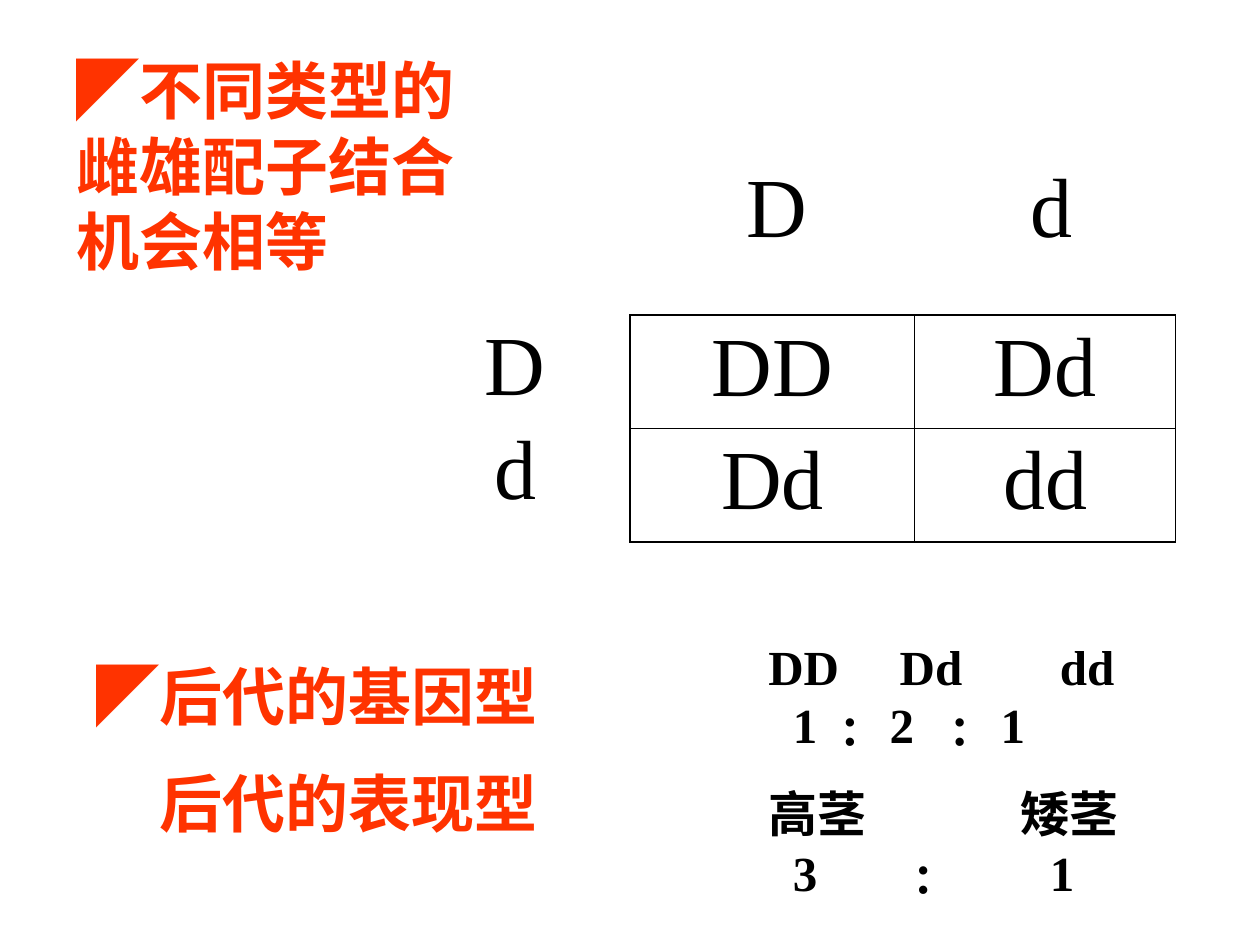
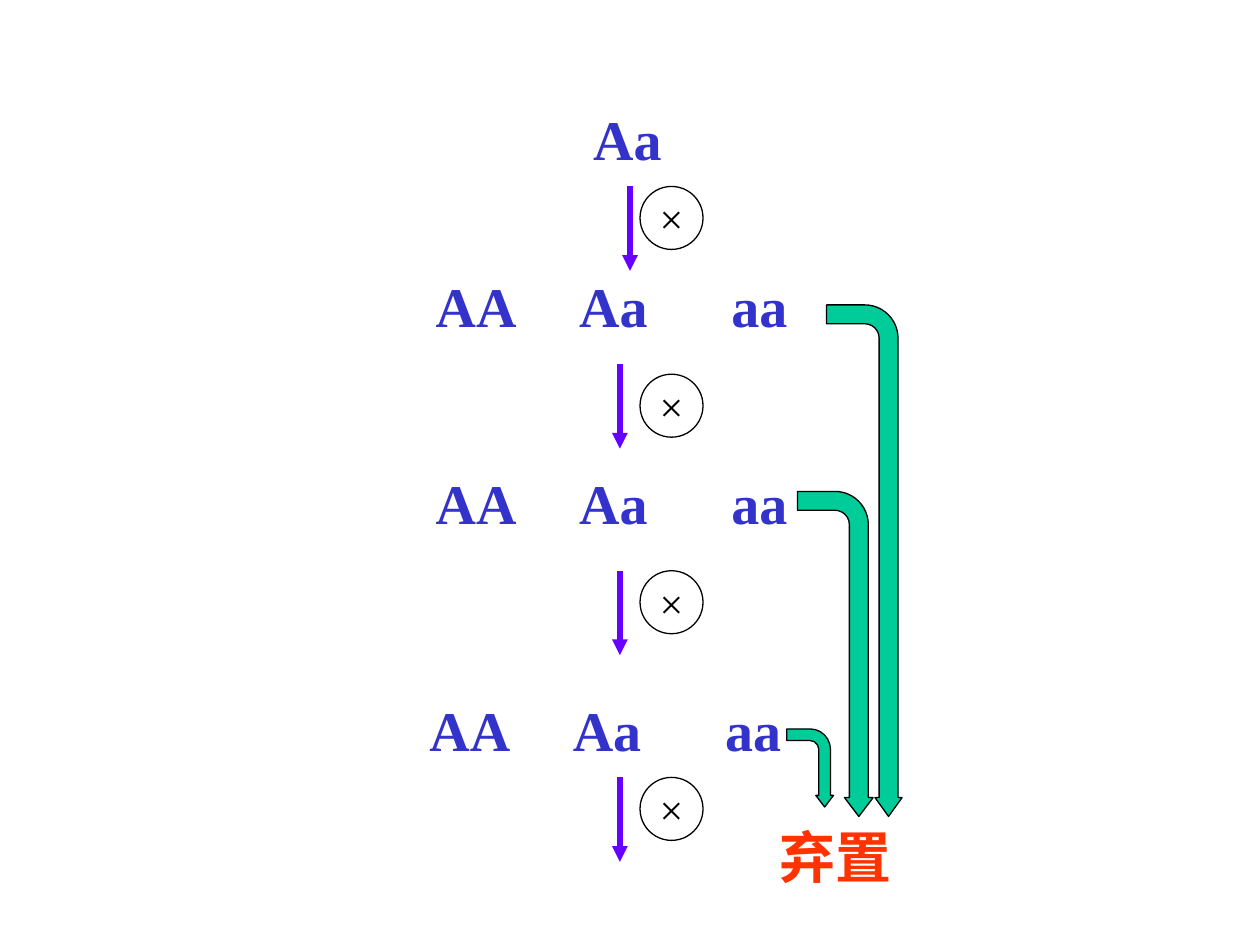
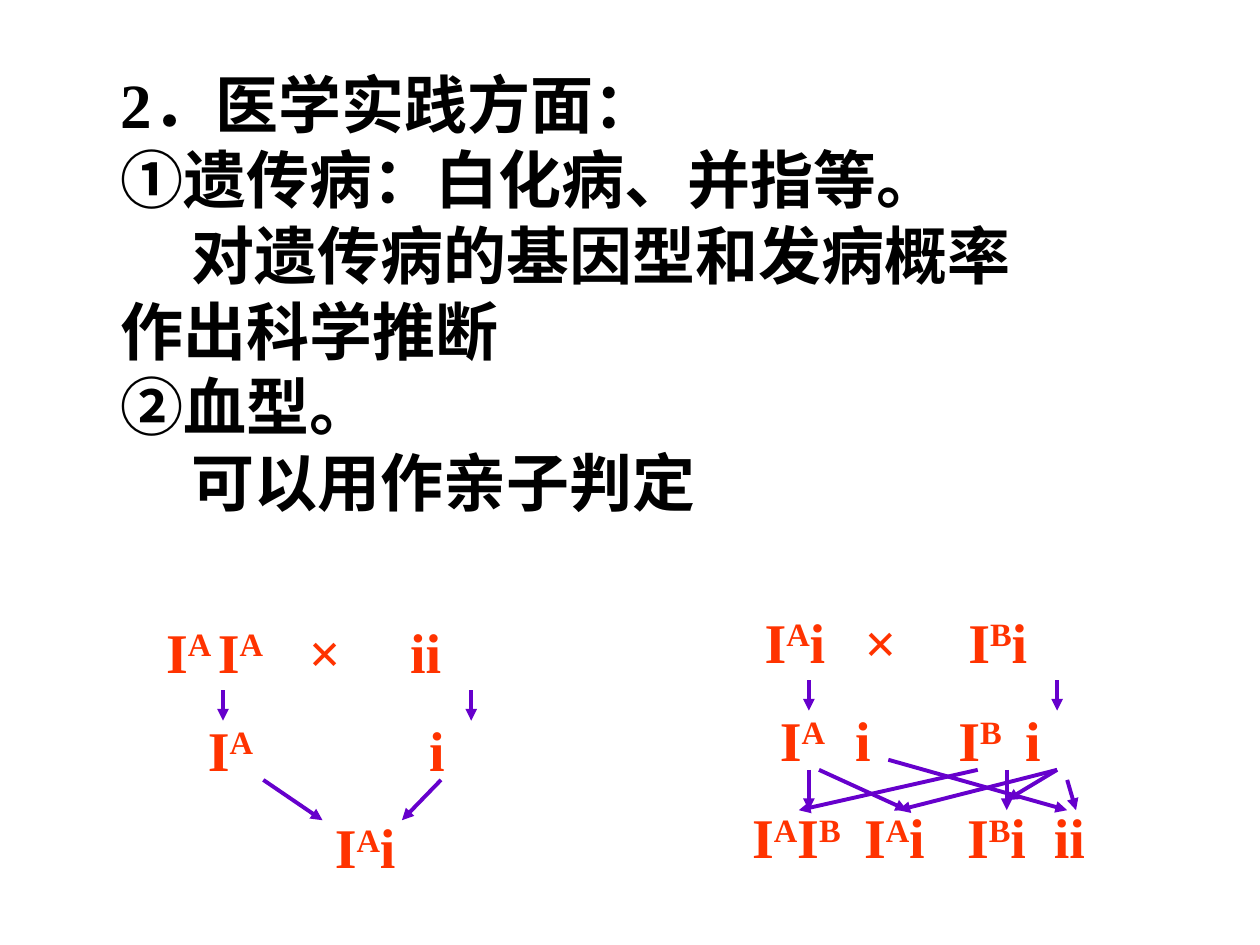
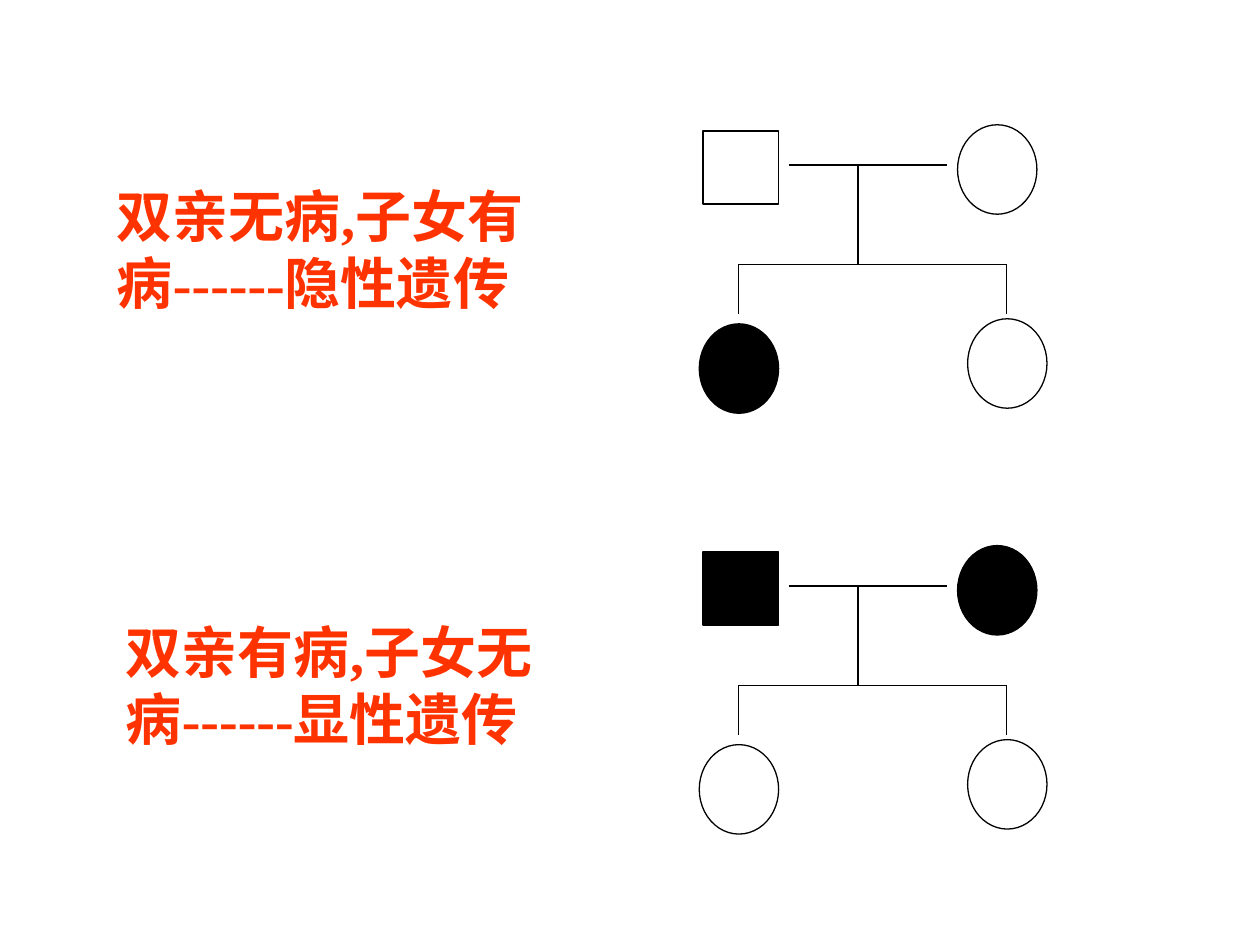
from lxml import etree
from pptx import Presentation
from pptx.dml.color import RGBColor
from pptx.enum.shapes import MSO_CONNECTOR, MSO_SHAPE
from pptx.enum.text import MSO_ANCHOR, MSO_AUTO_SIZE, PP_ALIGN
from pptx.oxml.ns import qn
from pptx.util import Inches, Pt

RECTANGLE = MSO_SHAPE.RECTANGLE
OVAL = MSO_SHAPE.OVAL
BENT_ARROW = MSO_SHAPE.BENT_ARROW
STRAIGHT = MSO_CONNECTOR.STRAIGHT
CENTER = PP_ALIGN.CENTER
MIDDLE = MSO_ANCHOR.MIDDLE
GROW = MSO_AUTO_SIZE.SHAPE_TO_FIT_TEXT

LATIN_FONT = "Times New Roman"
ASIAN_FONT = "Noto Sans CJK JP"
BLACK, WHITE, RED = "000000", "FFFFFF", "FF3300"
BLUE, VIOLET, PURPLE, GREEN = "3333CC", "6600FF", "6600CC", "00CC99"


def color(value):
    return RGBColor.from_string(value)


def add_element(parent, tag, **attributes):
    return etree.SubElement(parent, qn(tag), **attributes)


class Deck:
    def __init__(self):
        self.presentation = Presentation()
        self.presentation.slide_width = Inches(10)
        self.presentation.slide_height = Inches(7.5)
        self.slide = None

    def new_slide(self):
        self.slide = self.presentation.slides.add_slide(self.presentation.slide_layouts[6])

    def style(self, paragraph, size, ink, bold=False, font_name=LATIN_FONT):
        font = paragraph.font
        font.name, font.size, font.bold = font_name, Pt(size), bold
        font.color.rgb = color(ink)
        add_element(font._element, "a:ea", typeface=ASIAN_FONT)

    def text(self, left, top, width, height, lines, size, ink, bold=True,
             gap=0, indents=(), wrap=True, font_name=LATIN_FONT):
        """Lines are strings, or lists of (centre, text); centre None is flush left.
        Text between ^ marks is superscript."""
        box = self.slide.shapes.add_textbox(
            Inches(left), Inches(top), Inches(width), Inches(height))
        frame = box.text_frame
        frame.word_wrap = wrap
        frame.auto_size = GROW
        for index, line in enumerate(lines):
            paragraph = frame.paragraphs[0] if index == 0 else frame.add_paragraph()
            if index and gap:
                paragraph.space_before = Pt(gap)
            if index < len(indents) and indents[index]:
                paragraph._p.get_or_add_pPr().set("indent", str(Inches(indents[index])))
            if isinstance(line, str):
                paragraph.text = line
            else:
                self.tabbed(paragraph, line)
            self.style(paragraph, size, ink, bold, font_name)

    def tabbed(self, paragraph, cells):
        tabs = add_element(paragraph._p.get_or_add_pPr(), "a:tabLst")
        for centre, content in cells:
            if centre is not None:
                add_element(tabs, "a:tab", pos=str(Inches(centre)), algn="ctr")
                content = "\t" + content
            for index, part in enumerate(content.split("^")):
                if part:
                    run = paragraph.add_run()
                    run.text = part
                    if index % 2:
                        run._r.get_or_add_rPr().set("baseline", "30000")

    def shape(self, kind, left, top, width, height, fill=None, line=BLACK,
              rotation=0, adjustments=()):
        shape = self.slide.shapes.add_shape(
            kind, Inches(left), Inches(top), Inches(width), Inches(height))
        shape.shadow.inherit = False
        shape.rotation = rotation
        for index, value in enumerate(adjustments):
            shape.adjustments[index] = value
        if fill:
            shape.fill.solid()
            shape.fill.fore_color.rgb = color(fill)
        else:
            shape.fill.background()
        if line:
            shape.line.color.rgb = color(line)
            shape.line.width = Pt(0.75)
        else:
            shape.line.fill.background()
        return shape

    def gamete(self, left, top, width, height, letter):
        shape = self.shape(RECTANGLE, left, top, width, height, WHITE, None)
        shape.text_frame.vertical_anchor = MSO_ANCHOR.TOP
        paragraph = shape.text_frame.paragraphs[0]
        paragraph.text = letter
        paragraph.alignment = PP_ALIGN.LEFT
        self.style(paragraph, 48, BLACK)

    def selfing(self, top):
        shape = self.shape(OVAL, 5.08, top, 0.5, 0.5, WHITE)
        frame = shape.text_frame
        frame.word_wrap = False
        frame.vertical_anchor = MIDDLE
        paragraph = frame.paragraphs[0]
        paragraph.text = "×"
        paragraph.alignment = CENTER
        self.style(paragraph, 24, BLACK)

    def line(self, x1, y1, x2, y2, ink=BLACK, width=0.75, arrow=False):
        connector = self.slide.shapes.add_connector(
            STRAIGHT, Inches(x1), Inches(y1), Inches(x2), Inches(y2))
        connector.line.color.rgb = color(ink)
        connector.line.width = Pt(width)
        if arrow:
            add_element(connector.line._get_or_add_ln(), "a:tailEnd", type="triangle")
        add_element(connector._element.spPr, "a:effectLst")

    def table(self, left, top, column_widths, row_height, rows):
        table = self.slide.shapes.add_table(
            len(rows), len(column_widths), Inches(left), Inches(top),
            Inches(sum(column_widths)), Inches(row_height * len(rows))).table
        table.first_row = table.horz_banding = False
        for column, width in zip(table.columns, column_widths):
            column.width = Inches(width)
        for row, values in zip(table.rows, rows):
            row.height = Inches(row_height)
            for cell, value in zip(row.cells, values):
                paragraph = cell.text_frame.paragraphs[0]
                paragraph.text = value
                paragraph.alignment = CENTER
                self.style(paragraph, 48, BLACK)
                properties = cell._tc.get_or_add_tcPr()
                for side in ("a:lnL", "a:lnR", "a:lnT", "a:lnB"):
                    border = add_element(properties, side, w=str(Pt(1)))
                    fill = add_element(border, "a:solidFill")
                    add_element(fill, "a:srgbClr", val=BLACK)
                cell.fill.background()

    def family(self, top, parents_fill, daughter_fill):
        """Pedigree of two parents and two children."""
        self.shape(RECTANGLE, 5.58, top + 0.05, 0.6, 0.58, parents_fill[0])
        for left, drop, fill in ((7.6, 0, parents_fill[1]),
                                 (5.55, 1.58, daughter_fill), (7.68, 1.54, None)):
            self.shape(OVAL, left, top + drop, 0.63, 0.71, fill)
        marriage, children, ends = top + 0.32, top + 1.11, top + 1.5
        self.line(6.26, marriage, 7.52, marriage)
        self.line(6.81, marriage, 6.81, children)
        self.line(5.86, children, 7.99, children)
        for x in (5.86, 7.99):
            self.line(x, children, x, ends)


def punnett_slide(deck):
    deck.new_slide()
    deck.text(0.51, 0.36, 3.31, 1.9, ["◤不同类型的雌雄配子结合机会相等"], 36, RED,
              font_name=ASIAN_FONT)

    # Gametes and their combinations
    deck.gamete(3.75, 2.42, 0.75, 0.92, "D")
    deck.gamete(3.83, 3.25, 0.75, 0.92, "d")
    deck.table(5, 2.5, (2.26, 2.07), 0.9, (("DD", "Dd"), ("Dd", "dd")))
    deck.gamete(5.83, 1.17, 0.75, 0.75, "D")
    deck.gamete(8.08, 1.17, 0.75, 0.83, "d")

    # Ratios
    deck.text(0.67, 5.17, 3.75, 1.6, ["◤后代的基因型", "后代的表现型"], 36, RED,
              gap=18, indents=(0, 0.5))
    phenotypes = [[(None, "高茎"), (2.39, "矮茎")],
                  [(0.29, "3"), (1.22, "∶"), (2.33, "1")]]
    genotypes = [[(None, "DD"), (1.29, "Dd"), (2.53, "dd")],
                 [(0.29, "1"), (0.64, "∶"), (1.06, "2"), (1.51, "∶"), (1.94, "1")]]
    for top, ratio in ((6.17, phenotypes), (5, genotypes)):
        deck.text(6, top, 3.25, 1.03, ratio, 28, BLACK)


def selfing_slide(deck):
    deck.new_slide()

    # Generations
    deck.text(4.61, 0.78, 0.86, 0.64, ["Aa"], 32, BLUE, wrap=False)
    for left, top in ((3.36, 2.11), (3.36, 3.67), (3.31, 5.47)):
        deck.text(left, top, 3.33, 0.63,
                  [[(None, "AA"), (1.41, "Aa"), (2.57, "aa")]], 32, BLUE)
    for x, arrow_top, circle_top in ((5, 1.48, 1.48), (4.92, 2.89, 2.97),
                                     (4.92, 4.53, 4.53), (4.92, 6.17, 6.17)):
        deck.selfing(circle_top)
        deck.line(x, arrow_top, x, arrow_top + 0.67, VIOLET, 3, True)

    # Discarded offspring
    deck.text(6.09, 6.48, 1.17, 0.64, ["弃置"], 32, RED)
    for left, top, width, height, head in ((4.83, 4.15, 4.06, 0.6, 0.18),
                                           (5.34, 4.89, 2.58, 0.6, 0.19),
                                           (6.12, 5.91, 0.62, 0.37, 0.19)):
        deck.shape(BENT_ARROW, left, top, width, height, GREEN, rotation=90,
                   adjustments=(0.25, head, 0.25, 0.44))


def medicine_slide(deck):
    deck.new_slide()
    deck.text(0.86, 0.47, 7.5, 3.74,
              ["2．医学实践方面：\v①遗传病：白化病、并指等。",
               "对遗传病的基因型和发病概率作出科学推断",
               "②血型。", "可以用作亲子判定"],
              36, BLACK, indents=(0, 0.56, 0, 0.56))

    # Blood group crosses
    deck.text(1.22, 4.85, 3.07, 2.23,
              [[(None, "I^A^"), (0.59, "I^A^"), (1.26, "×"), (2.06, "ii")],
               [(0.51, "I^A^"), (2.15, "i")],
               [(1.58, "I^A^i")]], 32, RED, gap=17.5)
    deck.text(5.87, 4.77, 3.31, 2.23,
              [[(0.34, "I^A^i"), (1.02, "×"), (1.95, "I^B^i")],
               [(0.4, "I^A^"), (0.88, "i"), (1.81, "I^B^"), (2.23, "i")],
               [(None, "I^A^I^B^"), (1.13, "I^A^i"), (1.94, "I^B^i"), (2.52, "ii")]],
              32, RED, gap=17.5)

    # Arrows from parents to gametes, then from gametes to children
    for x, top in ((1.77, 5.48), (3.74, 5.48), (6.42, 5.4), (8.39, 5.4)):
        deck.line(x, top, x, top + 0.24, PURPLE, 2.25, True)
    for ends in ((3.5, 6.19, 3.19, 6.51), (2.09, 6.19, 2.56, 6.51),
                 (7.76, 6.11, 6.34, 6.43), (6.42, 6.11, 6.42, 6.43),
                 (8.39, 6.11, 7.13, 6.43), (6.5, 6.11, 7.2, 6.43),
                 (7.99, 6.11, 7.99, 6.43), (8.39, 6.11, 7.99, 6.35),
                 (7.05, 6.03, 8.47, 6.43), (8.47, 6.19, 8.54, 6.43)):
        deck.line(*ends, PURPLE, 2.25, True)


def pedigree_slide(deck):
    deck.new_slide()
    for left, top, rule in ((0.83, 1.39, "双亲无病,子女有病------隐性遗传"),
                            (0.9, 4.85, "双亲有病,子女无病------显性遗传")):
        deck.text(left, top, 3.47, 1.17, [rule], 32, RED)
    deck.family(0.99, (None, None), BLACK)
    deck.family(4.33, (BLACK, BLACK), None)


def main():
    deck = Deck()
    punnett_slide(deck)
    selfing_slide(deck)
    medicine_slide(deck)
    pedigree_slide(deck)
    deck.presentation.save("out.pptx")


if __name__ == "__main__":
    main()
